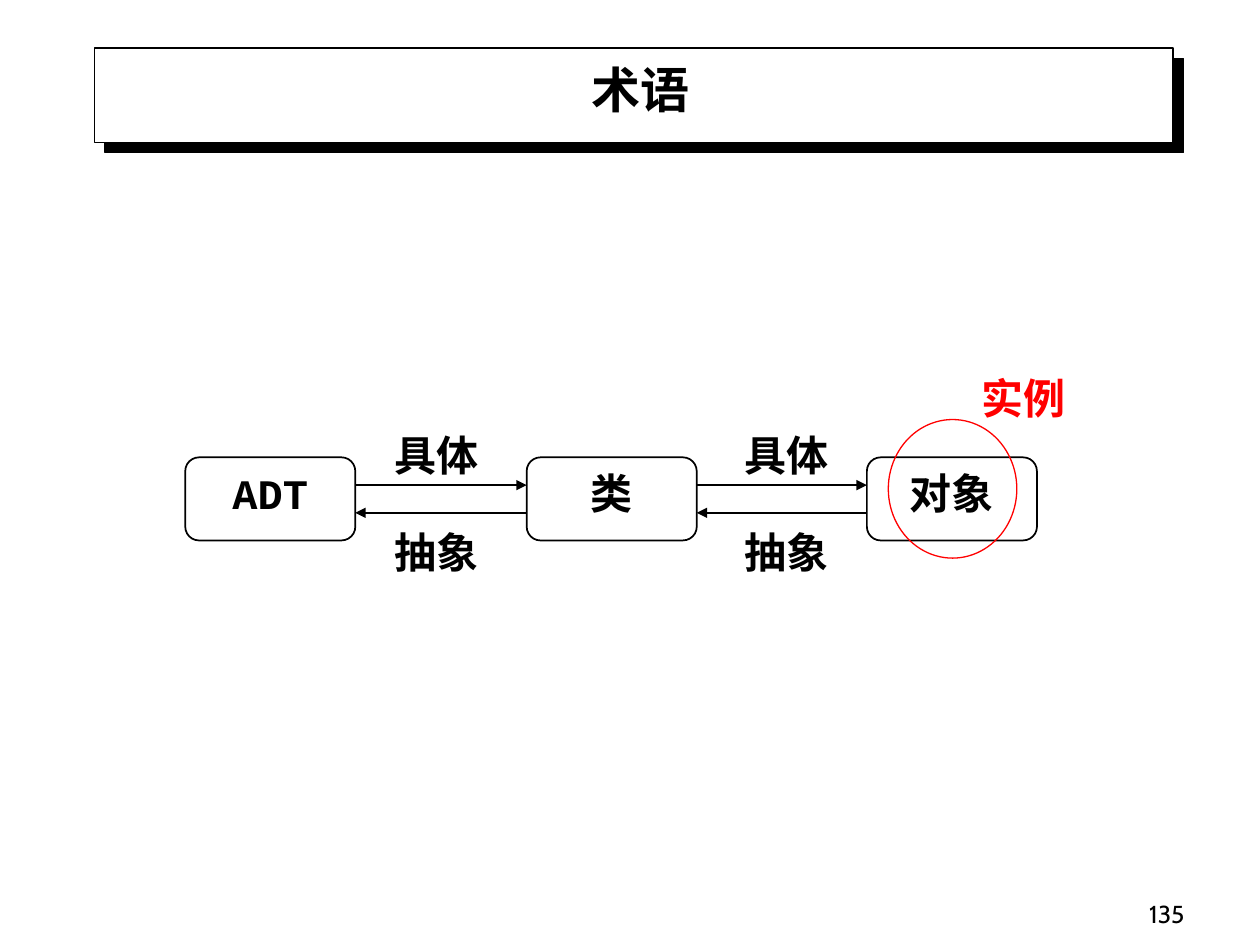
from dataclasses import dataclass

from lxml import etree
from pptx import Presentation
from pptx.dml.color import RGBColor
from pptx.enum.shapes import MSO_CONNECTOR as Connector, MSO_SHAPE as Shape
from pptx.enum.text import MSO_ANCHOR as Anchor, MSO_AUTO_SIZE as AutoSize, PP_ALIGN as Align
from pptx.oxml import parse_xml
from pptx.oxml.ns import nsdecls, qn
from pptx.util import Inches, Pt


@dataclass(frozen=True)
class Theme:
    ink: RGBColor = RGBColor(0, 0, 0)
    paper: RGBColor = RGBColor(255, 255, 255)
    accent: RGBColor = RGBColor(255, 0, 0)
    title_size: int = 28
    label_size: int = 24
    number_size: int = 14
    sans: str = "Cabin"
    serif: str = "Times New Roman"
    mono: str = "Courier New"


class SlideBuilder:
    def __init__(self, slide, theme):
        self.slide, self.theme = slide, theme

    def set_text(self, shape, text, font=None, size=None, color=None, bold=True,
                 align=Align.CENTER, anchor=Anchor.TOP, margins=(0.1, 0.05), wrap=True):
        """Fill a shape with one formatted paragraph."""
        frame = shape.text_frame
        across, down = map(Inches, margins)
        frame_format = {
            "word_wrap": wrap, "auto_size": AutoSize.NONE, "vertical_anchor": anchor,
            "margin_left": across, "margin_right": across,
            "margin_top": down, "margin_bottom": down,
        }
        for name, value in frame_format.items():
            setattr(frame, name, value)
        para = frame.paragraphs[0]
        para.alignment = align
        span = para.add_run()
        span.text = text
        font_format = {"name": font or self.theme.sans, "bold": bold,
                       "size": Pt(size or self.theme.label_size)}
        for name, value in font_format.items():
            setattr(span.font, name, value)
        span.font.color.rgb = color or self.theme.ink

    def title(self, text, place):
        box = self.slide.shapes.title
        for name, value in zip(("left", "top", "width", "height"), place):
            setattr(box, name, Inches(value))
        self.set_text(box, text, size=self.theme.title_size, anchor=Anchor.BOTTOM)

    def outline(self, kind, place, color=None, weight=1.0):
        shape = self.slide.shapes.add_shape(kind, *map(Inches, place))
        shape.shadow.inherit = False
        shape.fill.background()
        shape.line.color.rgb = color or self.theme.ink
        shape.line.width = Pt(weight)
        return shape

    def title_frame(self, place):
        """Draw a white panel with a hard shadow behind the title."""
        frame = self.outline(Shape.RECTANGLE, place, weight=0.75)
        frame.fill.solid()
        frame.fill.fore_color.rgb = self.theme.paper
        effects = frame.element.spPr.find(qn("a:effectLst"))
        effects.append(parse_xml(
            f'<a:outerShdw {nsdecls("a")} dist="{Pt(8.5)}" dir="{45 * 60000}" '
            f'algn="ctr" rotWithShape="0"><a:srgbClr val="{self.theme.ink}"/></a:outerShdw>'))
        self.slide.shapes.title.element.addprevious(frame.element)

    def label(self, text, place, **style):
        box = self.slide.shapes.add_textbox(*map(Inches, place))
        self.set_text(box, text, **style)

    def arrow(self, start, end, y):
        arrow = self.slide.shapes.add_connector(
            Connector.STRAIGHT, *map(Inches, (start, y, end, y)))
        arrow.line.color.rgb = self.theme.ink
        arrow.line.width = Pt(1)
        properties = arrow.element.spPr
        etree.SubElement(properties.find(qn("a:ln")), qn("a:tailEnd"), type="triangle")
        etree.SubElement(properties, qn("a:effectLst"))


def main():
    theme = Theme()
    deck = Presentation()
    deck.slide_width, deck.slide_height = Inches(10), Inches(7.5)
    page = SlideBuilder(deck.slides.add_slide(deck.slide_layouts[5]), theme)

    # Title on its shadowed panel
    page.title("术语", (0.83, 0.44, 8.5, 0.55))
    page.title_frame((0.75, 0.38, 8.56, 0.75))

    # Concept boxes
    lefts, box_width = (1.47, 4.18, 6.88), 1.35
    concepts = (("ADT", theme.mono), ("类", theme.serif), ("对象", theme.serif))
    for left, (text, font) in zip(lefts, concepts):
        box = page.outline(Shape.ROUNDED_RECTANGLE, (left, 3.63, box_width, 0.66))
        page.set_text(box, text, font=font)

    # Arrows both ways between neighbours, with their labels
    for left, right, label_left in zip(lefts, lefts[1:], (3.05, 5.83)):
        edge = left + box_width
        page.arrow(edge, right, 3.85)
        page.arrow(right, edge, 4.07)
        for text, top in (("具体", 3.41), ("抽象", 4.18)):
            page.label(text, (label_left, top, 0.83, 0.44), font=theme.mono, margins=(0, 0))

    # Instance highlight
    page.outline(Shape.OVAL, (7.05, 3.33, 1.02, 1.1), theme.accent, 0.75)
    page.label("实例", (7.54, 2.78, 1.16, 0.76), color=theme.accent,
               anchor=Anchor.MIDDLE, wrap=False)

    # Page number
    page.label("135", (7.42, 6.92, 2.08, 0.5), size=theme.number_size, bold=False,
               align=Align.RIGHT, anchor=Anchor.BOTTOM)

    deck.save("out.pptx")


if __name__ == "__main__":
    main()
